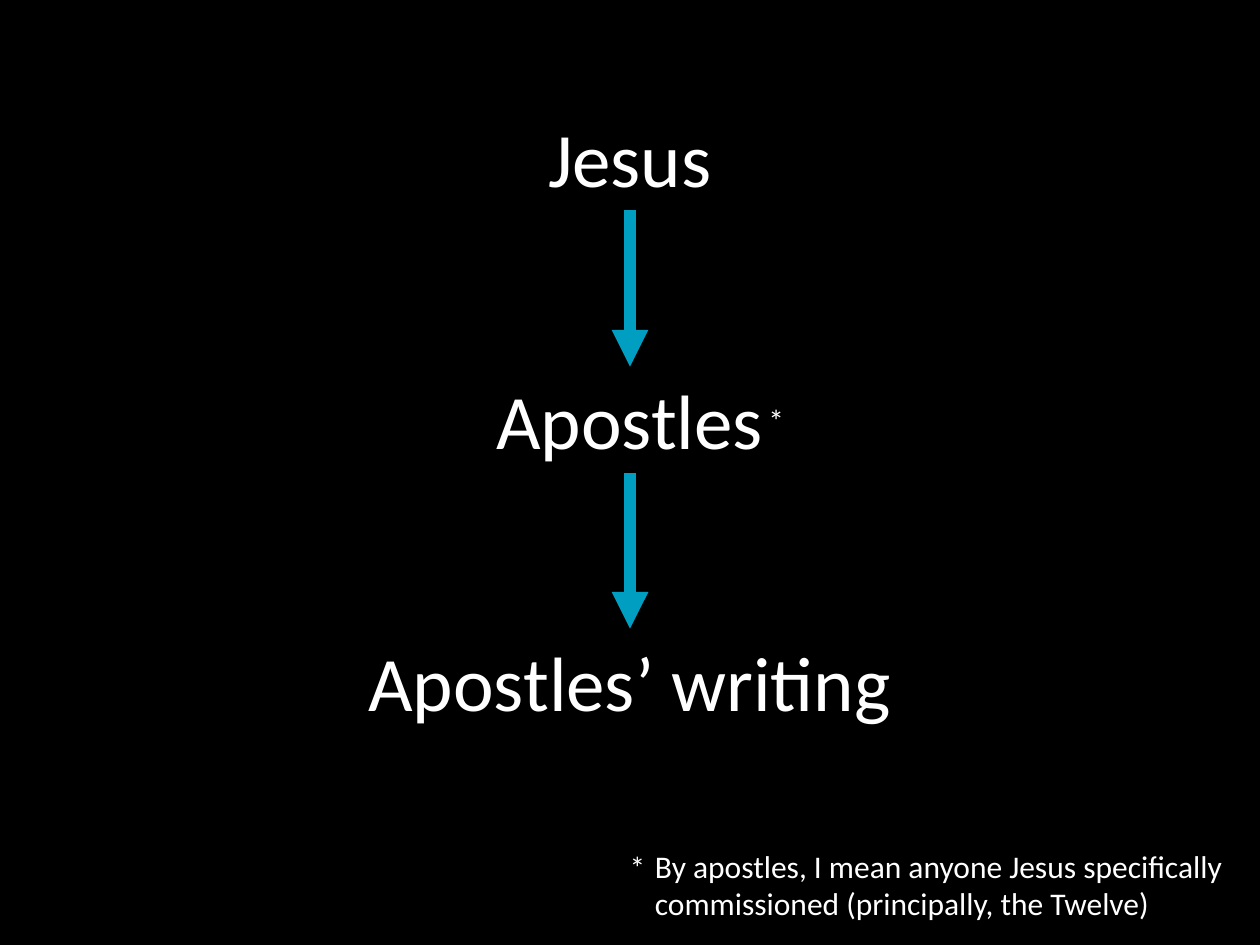
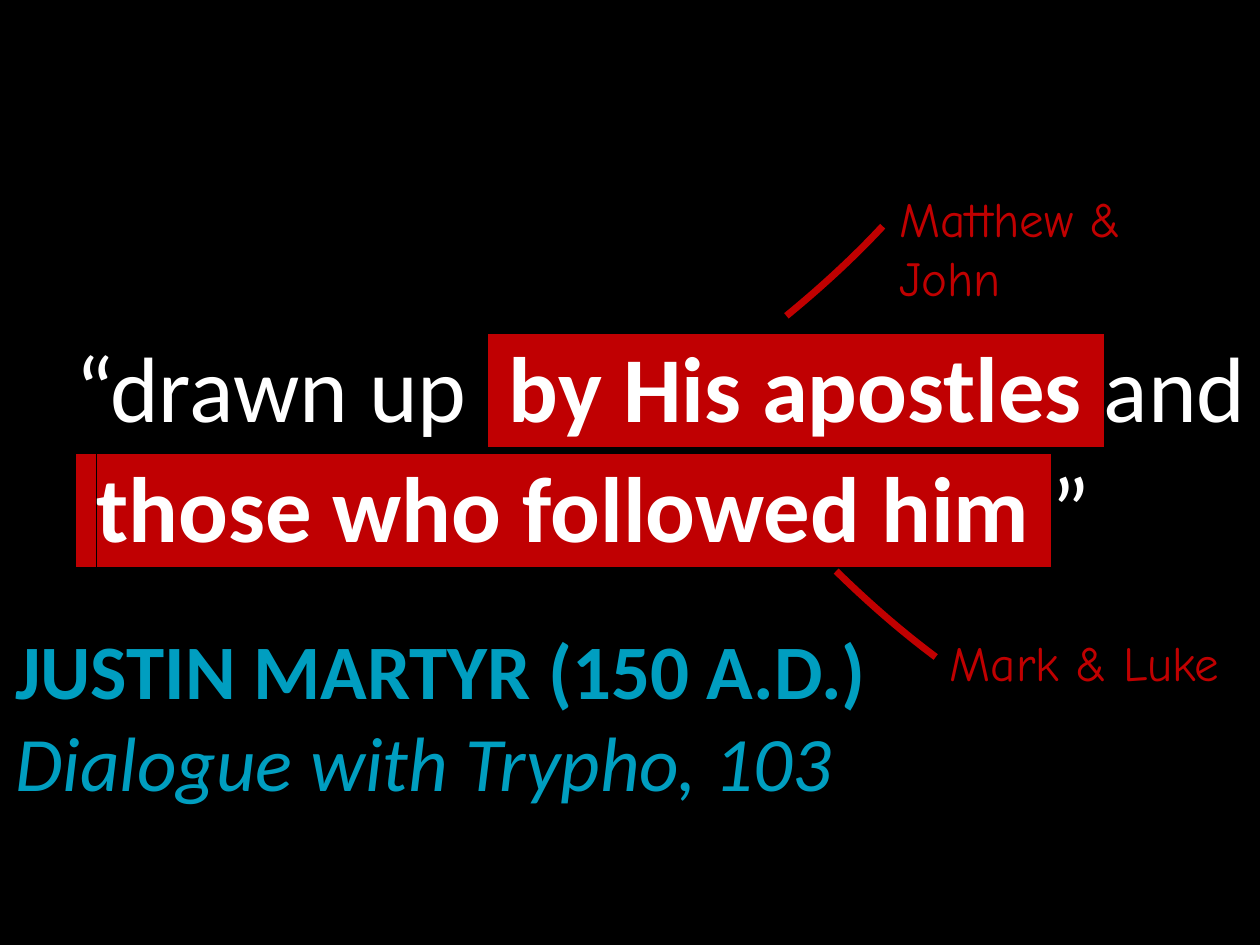
from copy import deepcopy
from dataclasses import dataclass

from lxml import etree
from pptx import Presentation
from pptx import util as u
from pptx.dml.color import RGBColor
from pptx.enum import shapes, text
from pptx.oxml.ns import qn

COLS, ROWS = 10, 7.5  # the slide is a grid of one-inch cells
CELL = u.Inches(1)


@dataclass(frozen=True)
class Theme:
    black: str = "000000"
    white: str = "FFFFFF"
    blue: str = "009EC0"
    red: str = "C00000"
    marker: str = "C00002"
    font: str = "Calibri"
    hand: str = "Comic Neue"
    note: float = 18
    label: float = 28
    main: float = 44
    quote: float = 53
    spacer: float = 4
    arrow: float = 7
    pen: float = 4


T = Theme()


def cells(*values):
    return [round(v * CELL) for v in values]


def rgb(value):
    return RGBColor.from_string(value)


def add_slide(prs, layout):
    s = prs.slides.add_slide(prs.slide_layouts[layout])
    fill = s.background.fill
    fill.solid()
    fill.fore_color.rgb = rgb(T.black)
    return s


def apply(obj, **values):
    for name, value in values.items():
        setattr(obj, name, value)


def add_run(p, words, size, color=T.white, font=T.font, mark=None, **style):
    """Add a run; a newline at its end becomes a line break of the same size."""
    r = p.add_run()
    r.text = words.rstrip("\n")
    apply(r.font, size=u.Pt(size), **style)
    r.font.color.rgb = rgb(color)
    r.font.name = font
    rPr = r._r.get_or_add_rPr()
    if mark:
        highlight = etree.Element(qn("a:highlight"))
        etree.SubElement(highlight, qn("a:srgbClr")).set("val", mark)
        rPr.find(qn("a:solidFill")).addnext(highlight)
    if words.endswith("\n"):
        p.add_line_break()
        p._p.findall(qn("a:br"))[-1].append(deepcopy(rPr))


def add_text(s, box, words, size, align=text.PP_ALIGN.LEFT, wrap=True, **style):
    sp = s.shapes.add_textbox(*cells(*box))
    sp.text_frame.word_wrap = wrap
    p = sp.text_frame.paragraphs[0]
    p.alignment = align
    add_run(p, words, size, **style)
    return sp


def fill_placeholder(sp, box, runs, **frame):
    """Place a placeholder and set its text as one left-aligned, unbulleted paragraph."""
    apply(sp, **dict(zip(("left", "top", "width", "height"), cells(*box))))
    tf = sp.text_frame
    apply(tf, word_wrap=True, auto_size=text.MSO_AUTO_SIZE.NONE, **frame)
    p = tf.paragraphs[0]
    apply(p, alignment=text.PP_ALIGN.LEFT, line_spacing=1.0)
    pPr = p._p.get_or_add_pPr()
    pPr.set("marL", "0")
    pPr.set("indent", "0")
    etree.SubElement(pPr, qn("a:buNone"))
    for words, size, style in runs:
        add_run(p, words, size, **style)


def add_arrow(s, upper, lower):
    c = s.shapes.add_connector(shapes.MSO_CONNECTOR.STRAIGHT, 0, 0, 0, 0)
    c.begin_connect(upper, 2)
    c.end_connect(lower, 0)
    c.line.width = u.Pt(T.arrow)
    c.line.color.rgb = rgb(T.blue)
    etree.SubElement(c.line._get_or_add_ln(), qn("a:tailEnd")).set("type", "triangle")
    etree.SubElement(c._element.spPr, qn("a:effectLst"))


def add_pen_note(s, words, box, arc_at, rotation):
    """Handwritten label with the curved stroke that ties it to the quotation."""
    add_text(s, box, words, T.label, color=T.red, font=T.hand)
    arc = s.shapes.add_shape(shapes.MSO_SHAPE.ARC, *cells(*arc_at, 3.87, 0.83))
    for i, degrees in enumerate((274.41, 342.17)):
        arc.adjustments[i] = degrees * 0.6  # 60000 units a degree, scaled by 100000
    arc.rotation = rotation
    arc._element.spPr.find(qn("a:xfrm")).set("flipV", "1")
    arc.shadow.inherit = False
    arc.fill.background()
    arc.line.width = u.Pt(T.pen)
    arc.line.color.rgb = rgb(T.red)


def build_chain(prs):
    s = add_slide(prs, 6)
    top, pitch = 0.83, 2.08
    links = [add_text(s, (0, top + i * pitch, COLS, 0.84), words, T.main,
                      text.PP_ALIGN.CENTER)
             for i, words in enumerate(("Jesus", "Apostles", "Apostles’ writing"))]
    for upper, lower in zip(links, links[1:]):
        add_arrow(s, upper, lower)
    add_text(s, (6, 3.13, 0.33, 0.4), "*", T.note, wrap=False)
    add_text(s, (5.1, 6.67, 4.73, 0.71),
             "By apostles, I mean anyone Jesus specifically commissioned "
             "(principally, the Twelve)", T.note)
    add_text(s, (4.25, 6.68, 0.97, 0.4), "*", T.note, text.PP_ALIGN.RIGHT)


def build_quote(prs):
    s = add_slide(prs, 1)
    marked = {"mark": T.marker, "bold": False}
    strong = {"mark": T.marker, "bold": True}
    fill_placeholder(s.shapes.title, (0.5, 0.17, 9.5, 4.33), [
        ("“drawn up ", T.quote, {}),
        (" ", T.quote, marked),
        ("by His apostles", T.quote, strong),
        (" ", T.quote, marked),
        ("and\n", T.quote, {}),
        (" \n", T.spacer, {}),
        (" ", T.quote, marked),
        ("those who followed him ", T.quote, strong),
        ("”", T.quote, {}),
    ], vertical_anchor=text.MSO_ANCHOR.BOTTOM)
    fill_placeholder(s.placeholders[1], (0.12, 4.92, 9.75, 1.5), [
        ("JUSTIN MARTYR (150 A.D.)\n", T.main, {"color": T.blue, "bold": True}),
        ("Dialogue with Trypho, 103", T.main, {"color": T.blue, "italic": True}),
    ], vertical_anchor=text.MSO_ANCHOR.MIDDLE, margin_left=0, margin_right=0)
    add_pen_note(s, "Matthew & John", (7.04, 1.45, 2.83, 0.57), (4.02, 1.79), 320.9)
    add_pen_note(s, "Mark & Luke", (7.44, 4.97, 2.58, 0.57), (4.97, 3.8), 44.6)


def main():
    prs = Presentation()
    prs.slide_width, prs.slide_height = cells(COLS, ROWS)
    build_chain(prs)
    build_quote(prs)
    prs.save("out.pptx")


if __name__ == "__main__":
    main()
